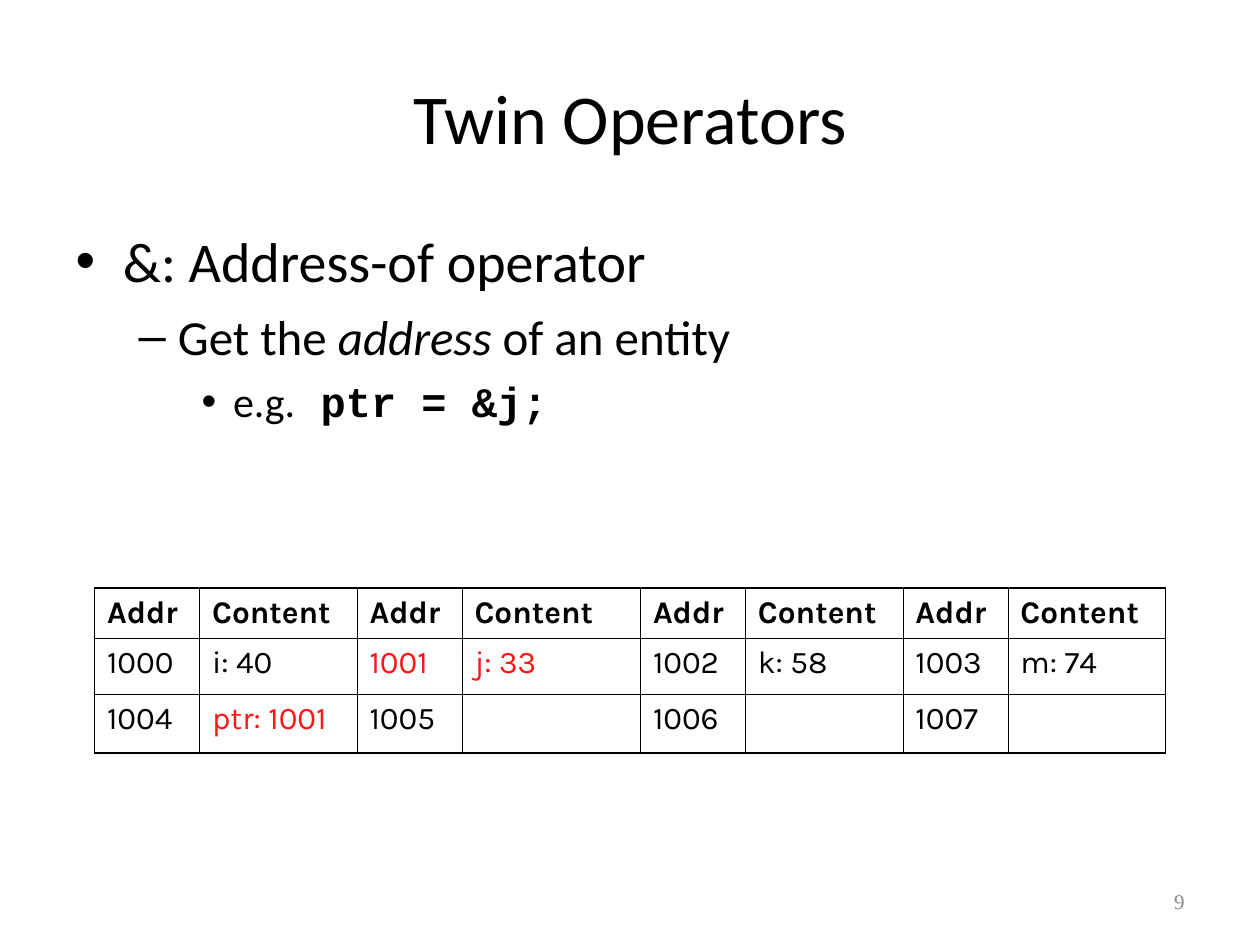
import pptx
import pptx.dml.color
import pptx.enum.text
import pptx.oxml
import pptx.oxml.ns
import pptx.util

Pt = pptx.util.Pt
BLACK = pptx.dml.color.RGBColor(0x00, 0x00, 0x00)
RED = pptx.dml.color.RGBColor(0xFF, 0x17, 0x17)
GREY = pptx.dml.color.RGBColor(0x89, 0x89, 0x89)
THICK, THIN = 1.08, 0.45


def add_run(p, text, color=BLACK, **formats):
    r = p.add_run()
    r.text = text
    r.font.color.rgb = color
    for name, value in formats.items():
        setattr(r.font, name, value)


def add_border(cell, side, width):
    """Draw one cell edge; side is L, R, T or B. Call before setting the fill."""
    cell._tc.get_or_add_tcPr().append(pptx.oxml.parse_xml(
        f'<a:ln{side} {pptx.oxml.ns.nsdecls("a")} w="{int(Pt(width))}">'
        f'<a:solidFill><a:srgbClr val="{BLACK}"/></a:solidFill></a:ln{side}>'))


prs = pptx.Presentation()
prs.slide_width, prs.slide_height = Pt(720), Pt(540)
s = prs.slides.add_slide(prs.slide_layouts[1])

# Title
title = s.shapes.title
title.left, title.top, title.width, title.height = Pt(36), Pt(21.6), Pt(648), Pt(90)
add_run(title.text_frame.paragraphs[0], "Twin Operators", name="Calibri", size=Pt(40))

# Bulleted list
body = s.placeholders[1]
body.left, body.top, body.width, body.height = Pt(36), Pt(126), Pt(648), Pt(356.4)
tf = body.text_frame
bullets = [
    (32, 0, [("&: Address-of operator", {})]),
    (28, 7, [("Get the ", {}), ("address", {"italic": True}), (" of an entity", {})]),
    (24, 6, [("e.g.", {}), (" ptr = &j;", {"name": "Courier New", "bold": True})]),
]
for level, (size, space, runs) in enumerate(bullets):
    p = tf.add_paragraph() if level else tf.paragraphs[0]
    p.level = level
    p.space_before = Pt(space)
    for text, formats in runs:
        add_run(p, text, **{"name": "Calibri", "size": Pt(size), **formats})

# Memory table
rows = [
    ["Addr", "Content"] * 4,
    ["1000", "i: 40", "1001", "j: 33", "1002", "k: 58", "1003", "m: 74"],
    ["1004", "ptr: 1001", "1005", "", "1006", "", "1007", ""],
]
highlighted = {"1001", "j: 33", "ptr: 1001"}
col_widths = [60, 90, 60, 102, 60, 90, 60, 90]
row_heights = [28.8, 32, 33.6]
last_row, last_col = len(rows) - 1, len(col_widths) - 1

table = s.shapes.add_table(len(rows), len(col_widths), Pt(54), Pt(336),
                           Pt(sum(col_widths)), Pt(sum(row_heights))).table
table.first_row = table.horz_banding = False
for column, width in zip(table.columns, col_widths):
    column.width = Pt(width)
for row, height in zip(table.rows, row_heights):
    row.height = Pt(height)

for i, row in enumerate(rows):
    for j, text in enumerate(row):
        cell = table.cell(i, j)
        thick_edges = {"L": j == 0, "R": j == last_col,
                       "T": i <= 1, "B": i in (0, last_row)}
        for side, thick in thick_edges.items():
            add_border(cell, side, THICK if thick else THIN)
        cell.fill.background()
        if text:
            add_run(cell.text_frame.paragraphs[0], text,
                    RED if text in highlighted else BLACK,
                    name="Karla", size=Pt(18), bold=i == 0)

# Page number
sp = s.shapes.add_textbox(Pt(516), Pt(500.4), Pt(168), Pt(28.8))
tf = sp.text_frame
tf.word_wrap = True
tf.vertical_anchor = pptx.enum.text.MSO_ANCHOR.MIDDLE
p = tf.paragraphs[0]
p.alignment = pptx.enum.text.PP_ALIGN.RIGHT
add_run(p, "9", GREY, name="Times New Roman", size=Pt(12))

prs.save("out.pptx")
